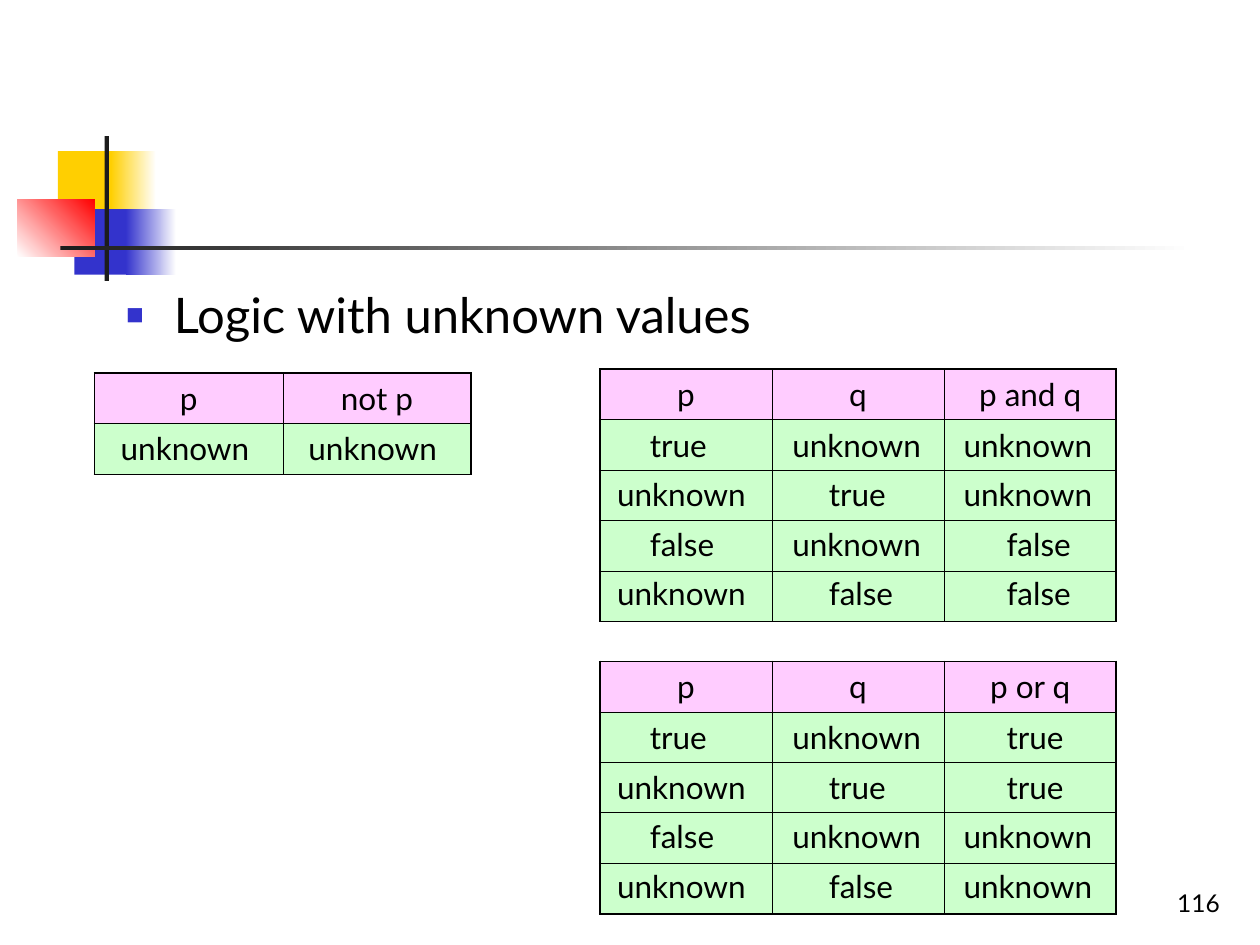
import pptx
import pptx.dml.color
import pptx.enum.shapes
import pptx.enum.text
import pptx.util
from lxml import etree
from pptx.oxml.ns import qn

deck = pptx.Presentation()
deck.slide_width = pptx.util.Inches(10)
deck.slide_height = pptx.util.Inches(7.5)
COLUMN = deck.slide_width / 100
ROW = deck.slide_height / 75
page = deck.slides.add_slide(deck.slide_layouts[1])
page.shapes.title.element.getparent().remove(page.shapes.title.element)


def place(left, top, width, height):
    """Turn grid columns and rows into slide lengths."""
    return [round(n * unit) for n, unit in zip((left, top, width, height), (COLUMN, ROW) * 2)]


def paint(color_format, code):
    color_format.rgb = pptx.dml.color.RGBColor.from_string(code)


# Ornament: squares and two bars; a second colour makes a gradient
ornament = [
    ((4.6, 12, 4.8, 5.2), ["FFCF01"], 0),
    ((8.8, 12, 3.6, 5.2), ["FFCF01", "FFFFFF"], 0),
    ((5.9, 16.6, 4.6, 5.2), ["3333CC"], 0),
    ((10, 16.6, 4, 5.2), ["3333CC", "FFFFFF"], 0),
    ((1.4, 15.8, 6.1, 4.6), ["FFFFFF", "FF0000"], 45),
    ((8.3, 10.8, 0.35, 11.5), ["1C1C1C"], 0),
    ((4.8, 19.5, 90, 0.35), ["1C1C1C", "FFFFFF"], 0),
]
for area, colors, angle in ornament:
    block = page.shapes.add_shape(pptx.enum.shapes.MSO_SHAPE.RECTANGLE, *place(*area))
    block.shadow.inherit = False
    block.line.fill.background()
    if len(colors) == 1:
        block.fill.solid()
        paint(block.fill.fore_color, colors[0])
    else:
        block.fill.gradient()
        block.fill.gradient_angle = angle
        for stop, code in zip(block.fill.gradient_stops, colors):
            paint(stop.color, code)

# Heading in the body placeholder
body = page.placeholders[1]
body.left, body.top, body.width, body.height = place(9, 22.1, 64.6, 45)
para = body.text_frame.paragraphs[0]
para.space_before = pptx.util.Pt(0)
properties = para._p.get_or_add_pPr()
properties.set("marL", str(pptx.util.Inches(0.38)))
properties.set("indent", str(pptx.util.Inches(-0.38)))
bullet_color = etree.SubElement(properties, qn("a:buClr"))
etree.SubElement(bullet_color, qn("a:srgbClr"), val="3333CC")
etree.SubElement(properties, qn("a:buSzPct"), val="60000")
etree.SubElement(properties, qn("a:buFont"), typeface="Arial")
etree.SubElement(properties, qn("a:buChar"), char="■")
span = para.add_run()
span.text = "Logic with unknown values"
texts = [(span, 28)]

# Truth tables: left, top, width, headers, truth values
truth_tables = [
    (7.5, 29.6, 29.9, ["p", "not p"], [["unknown", "unknown"]]),
    (47.6, 29.3, 41, ["p", "q", "p and q"],
     [["true", "unknown", "unknown"], ["unknown", "true", "unknown"],
      ["false", "unknown", "false"], ["unknown", "false", "false"]]),
    (47.6, 52.5, 41, ["p", "q", "p or q"],
     [["true", "unknown", "true"], ["unknown", "true", "true"],
      ["false", "unknown", "unknown"], ["unknown", "false", "unknown"]]),
]
LINE_HEIGHT = 4
VALUE_STEP = 3.93
value_widths = {"unknown": 13, "true": 6.9, "false": 7.5}
# Left edges of the values, counted from the table's left edge
long_offsets = {2: [1.1, 16], 3: [0.4, 14.3, 27.9]}
short_offsets = [3, 17.2, 31.3]

for left, top, width, headers, values in truth_tables:
    row_count, column_count = len(values) + 1, len(headers)
    table = page.shapes.add_table(
        row_count, column_count, *place(left, top, width, LINE_HEIGHT * row_count)).table
    table.first_row = table.horz_banding = False
    for r in range(row_count):
        for c in range(column_count):
            cell = table.cell(r, c)
            outer_edges = {"a:lnL": c == 0, "a:lnR": c == column_count - 1,
                           "a:lnT": r == 0, "a:lnB": r == row_count - 1}
            for tag, outer in outer_edges.items():
                border = etree.SubElement(cell._tc.get_or_add_tcPr(), qn(tag))
                border.set("w", str(pptx.util.Pt(1.08 if outer else 0.45)))
                border_fill = etree.SubElement(border, qn("a:solidFill"))
                etree.SubElement(border_fill, qn("a:srgbClr"), val="000000")
            cell.fill.solid()
            paint(cell.fill.fore_color, "CCFFCC" if r else "FFCCFF")
            if r == 0:
                para = cell.text_frame.paragraphs[0]
                para.alignment = pptx.enum.text.PP_ALIGN.CENTER
                span = para.add_run()
                span.text = headers[c]
                texts.append((span, 18))

    for r, line in enumerate(values):
        for c, value in enumerate(line):
            offsets = long_offsets[column_count] if value == "unknown" else short_offsets
            box = page.shapes.add_textbox(*place(
                left + offsets[c], top + LINE_HEIGHT + r * VALUE_STEP,
                value_widths[value], LINE_HEIGHT))
            box.text_frame.word_wrap = False
            box.text_frame.auto_size = pptx.enum.text.MSO_AUTO_SIZE.SHAPE_TO_FIT_TEXT
            span = box.text_frame.paragraphs[0].add_run()
            span.text = value
            texts.append((span, 18))

# Page number
box = page.shapes.add_textbox(*place(77, 68.3, 20.8, 5))
box.text_frame.word_wrap = True
box.text_frame.vertical_anchor = pptx.enum.text.MSO_ANCHOR.BOTTOM
para = box.text_frame.paragraphs[0]
para.alignment = pptx.enum.text.PP_ALIGN.RIGHT
span = para.add_run()
span.text = "116"
texts.append((span, 14))

for span, size in texts:
    span.font.name = "Lato"
    span.font.size = pptx.util.Pt(size)
    paint(span.font.color, "000000")

deck.save("out.pptx")
